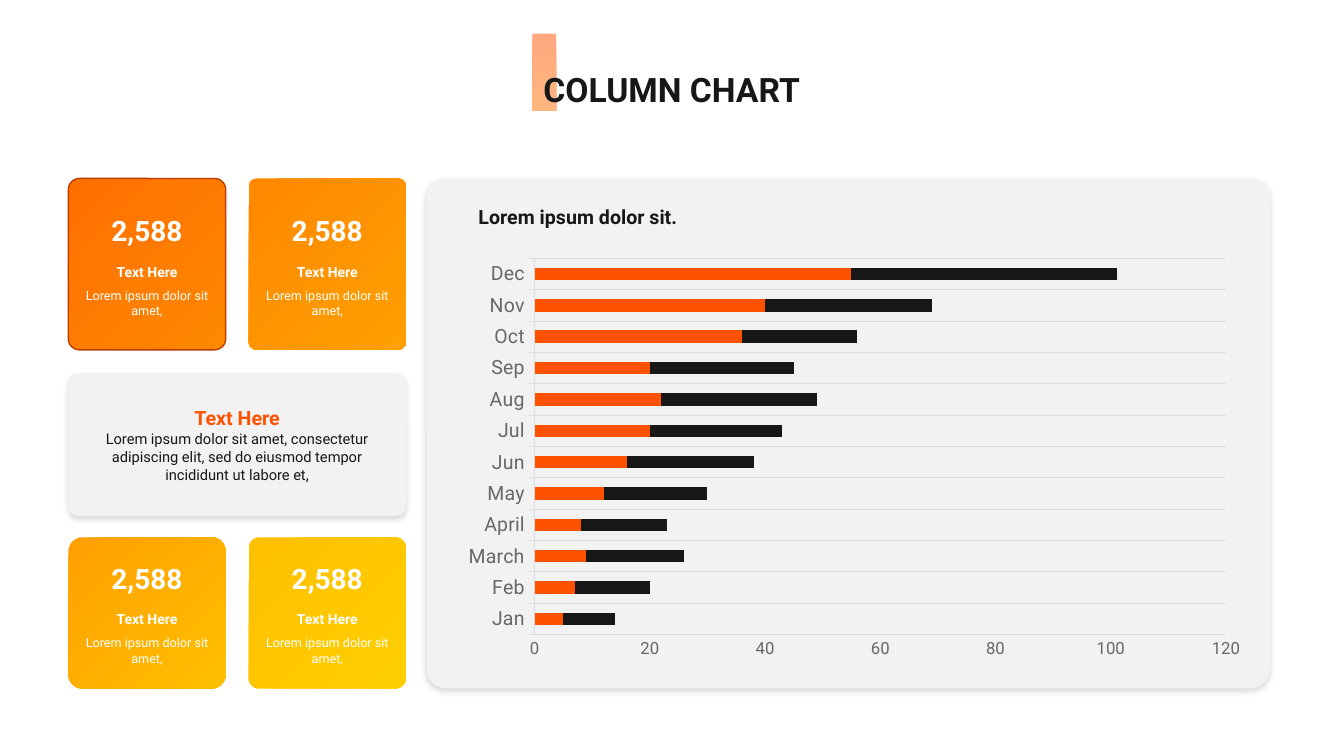
import pptx
import pptx.chart.data
import pptx.dml.color
import pptx.enum.chart
import pptx.enum.shapes
import pptx.enum.text
import pptx.oxml
import pptx.oxml.ns
import pptx.util

Pt = pptx.util.Pt
RGB = pptx.dml.color.RGBColor
qn = pptx.oxml.ns.qn
SHAPE = pptx.enum.shapes.MSO_SHAPE
ALIGN = pptx.enum.text.PP_ALIGN
TICK = pptx.enum.chart.XL_TICK_MARK

FONT = "Roboto"
INK = RGB(0x18, 0x17, 0x17)
WHITE = RGB(0xFF, 0xFF, 0xFF)
PANEL = RGB(0xF2, 0xF2, 0xF2)
RED = RGB(0xFF, 0x52, 0x00)
FLAME = RGB(0xFF, 0x6F, 0x00)
ORANGE = RGB(0xFF, 0x88, 0x00)
AMBER = RGB(0xFF, 0x9F, 0x00)
GOLD = RGB(0xFF, 0xC0, 0x00)
YELLOW = RGB(0xFF, 0xCE, 0x00)
RUST = RGB(0xBD, 0x3D, 0x00)
GREY = RGB(0x6B, 0x66, 0x66)
RULE = RGB(0xDD, 0xDC, 0xDC)

NS = pptx.oxml.ns.nsdecls("a")
SHADOW = (f'<a:effectLst {NS}><a:outerShdw blurRad="50800" dist="25400" dir="5400000" '
          'algn="t" rotWithShape="0"><a:srgbClr val="000000"><a:alpha val="15000"/>'
          '</a:srgbClr></a:outerShdw></a:effectLst>')
LAYOUT = (f'<c:layout {pptx.oxml.ns.nsdecls("c")}><c:manualLayout>'
          '<c:layoutTarget val="inner"/><c:xMode val="edge"/><c:yMode val="edge"/>'
          '<c:x val="0.08"/><c:y val="0.015"/><c:w val="0.891"/><c:h val="0.902"/>'
          '</c:manualLayout></c:layout>')

MONTHS = ["Jan", "Feb", "March", "April", "May", "Jun",
          "Jul", "Aug", "Sep", "Oct", "Nov", "Dec"]
SERIES = [
    ("Series 1", RED, [5, 7, 9, 8, 12, 16, 20, 22, 20, 36, 40, 55]),
    ("Series 2", INK, [6, 8, 10, 9, 13, 18, 20, 23, 18, 15, 20, 35]),
    ("Series 3", INK, [3, 5, 7, 6, 5, 4, 3, 4, 7, 5, 9, 11]),
]


def add_text(slide, box, paras, align=ALIGN.CENTER, gap=0):
    """Each paragraph is a list of runs: (text, size, colour, bold)."""
    frame = slide.shapes.add_textbox(*map(Pt, box)).text_frame
    frame.word_wrap = True
    frame.auto_size = pptx.enum.text.MSO_AUTO_SIZE.SHAPE_TO_FIT_TEXT
    for i, runs in enumerate(paras):
        para = frame.add_paragraph() if i else frame.paragraphs[0]
        para.alignment = align
        if i and gap:
            para.space_before = Pt(gap)
        for text, size, color, bold in runs:
            run = para.add_run()
            run.text = text
            font = run.font
            font.name, font.size, font.bold = FONT, Pt(size), bold
            font.color.rgb = color


def add_block(slide, kind, box, round=None):
    shape = slide.shapes.add_shape(kind, *map(Pt, box))
    shape.shadow.inherit = False
    shape.line.fill.background()
    if round:
        shape.adjustments[0] = round
    return shape


def blend(shape, colors, angle):
    shape.fill.gradient()
    shape.fill.gradient_angle = 360 - angle
    for stop, color in zip(shape.fill.gradient_stops, colors):
        stop.color.rgb = color


def add_panel(slide, box, round):
    shape = add_block(slide, SHAPE.ROUNDED_RECTANGLE, box, round)
    shape.fill.solid()
    shape.fill.fore_color.rgb = PANEL
    props = shape.element.spPr
    props.replace(props.find(qn("a:effectLst")), pptx.oxml.parse_xml(SHADOW))


def add_title(slide, box):
    x, y, w, h = box
    # Half-clear bar behind the first letter
    bar = add_block(slide, SHAPE.RECTANGLE, (x + 124, y - 21.5, 17, 55))
    blend(bar, (RED, FLAME), 90)
    for color in bar.element.spPr.iter(qn("a:srgbClr")):
        color.append(pptx.oxml.parse_xml(f'<a:alpha {NS} val="50000"/>'))
    add_text(slide, box, [[("COLUMN CHART", 24, INK, True)]])


def add_card(slide, box, colors, round, drop, edge=None):
    x, y, w, h = box
    card = add_block(slide, SHAPE.ROUNDED_RECTANGLE, box, round)
    blend(card, colors, 45)
    if edge:
        card.line.color.rgb = edge
        card.line.width = Pt(1)
    add_text(slide, (x + 8, y + drop, w - 16, 31.5), [[("2,588", 20, WHITE, True)]])
    add_text(slide, (x + 2, y + drop + 35.3, w - 4, 46),
             [[("Text Here", 10, WHITE, True)],
              [("Lorem ipsum dolor sit amet,", 9, WHITE, False)]], gap=5.4)


def add_cards(slide, box):
    x, y, w, h = box
    wide = 112.4
    right = x + w - wide
    low = y + h - 108
    add_card(slide, (x, y, wide, 122.4), (FLAME, ORANGE), 0.07, 21.6, RUST)
    add_card(slide, (right, y, wide, 122.4), (ORANGE, AMBER), 0.048, 21.6)
    add_card(slide, (x, low, wide, 108), (AMBER, GOLD), 0.093, 13.7)
    add_card(slide, (right, low, wide, 108), (GOLD, YELLOW), 0.07, 13.7)
    # Middle note
    add_panel(slide, (x, y + 139, w, 102.2), 0.07)
    body = ("Lorem ipsum dolor sit amet, consectetur adipiscing elit, "
            "sed do eiusmod tempor incididunt ut labore et")
    add_text(slide, (x + 15.8, y + 159.2, w - 31.6, 64),
             [[("Text Here", 14, RED, True)],
              [(body, 10.5, INK, False), (",", 11, INK, False)]])


def style_axis(axis, size):
    font = axis.tick_labels.font
    font.name, font.size = FONT, Pt(size)
    font.color.rgb = GREY
    axis.minor_tick_mark = TICK.NONE


def add_chart(slide, box):
    x, y, w, h = box
    add_panel(slide, box, 0.039)
    add_text(slide, (x + 30, y + 15, 290, 24.5),
             [[("Lorem ipsum dolor sit.", 14, INK, True)]], ALIGN.LEFT)
    data = pptx.chart.data.CategoryChartData()
    data.categories = MONTHS
    for name, color, vals in SERIES:
        data.add_series(name, vals)
    kind = pptx.enum.chart.XL_CHART_TYPE.BAR_STACKED
    area = (x + 30, y + 52.6, w - 45.4, h - 66.3)
    chart = slide.shapes.add_chart(kind, *map(Pt, area), data).chart
    chart.has_legend = chart.has_title = False
    chart.font.name, chart.font.size = "Calibri", Pt(10)
    chart.font.color.rgb = INK

    # Bars
    plot = chart.plots[0]
    plot.gap_width, plot.overlap, plot.vary_by_categories = 150, 100, False
    for bars, (name, color, vals) in zip(plot.series, SERIES):
        bars.format.fill.solid()
        bars.format.fill.fore_color.rgb = color

    # Axes
    cats, vals = chart.category_axis, chart.value_axis
    style_axis(cats, 14)
    cats.major_tick_mark = TICK.OUTSIDE
    cats.has_major_gridlines = True
    for line in (cats.format.line, cats.major_gridlines.format.line):
        line.color.rgb = RULE
        line.width = Pt(0.75)
    style_axis(vals, 12)
    vals.major_tick_mark = TICK.NONE
    vals.has_major_gridlines = False
    vals.format.line.fill.background()
    vals.minimum_scale, vals.maximum_scale, vals.major_unit = 0, 120, 20

    # Fixed plot area
    plane = chart.element.find(".//" + qn("c:plotArea"))
    old = plane.find(qn("c:layout"))
    if old is not None:
        plane.remove(old)
    plane.insert(0, pptx.oxml.parse_xml(LAYOUT))


def main():
    deck = pptx.Presentation()
    deck.slide_width, deck.slide_height = Pt(960), Pt(540)
    slide = deck.slides.add_slide(deck.slide_layouts[6])
    add_title(slide, (256.3, 45.5, 447, 36))
    add_cards(slide, (48.8, 127.5, 241.2, 364.3))
    add_chart(slide, (304.7, 127.5, 602.6, 364.3))
    deck.save("out.pptx")


if __name__ == "__main__":
    main()
